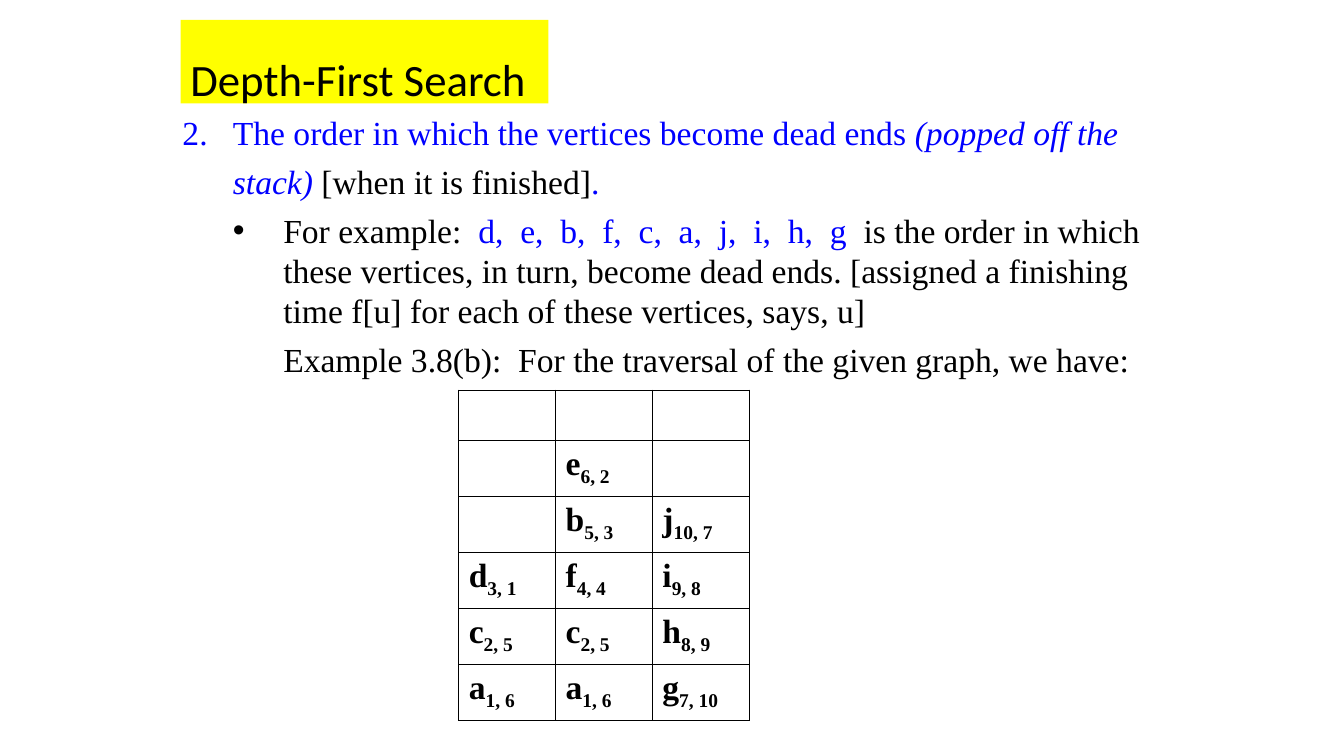
"""Build a slide on the order in which depth-first search finishes vertices."""
from pptx import Presentation
from pptx.dml.color import RGBColor
from pptx.enum.shapes import MSO_SHAPE as Shape
from pptx.enum.text import MSO_ANCHOR as Anchor, PP_ALIGN as Align
from pptx.oxml.xmlchemy import OxmlElement as Element
from pptx.util import Cm, Pt

COLORS = {"black": "000000", "blue": "0000FF", "yellow": "FFFF00", "white": "FFFFFF"}
SERIF = "Times New Roman"


def color(name):
    return RGBColor.from_string(COLORS[name])


def add_child(parent, tag, **attributes):
    child = Element(tag)
    for key, value in attributes.items():
        child.set(key, str(value))
    parent.append(child)
    return child


deck = Presentation()
deck.slide_width, deck.slide_height = Cm(33.87), Cm(19.05)
page = deck.slides.add_slide(deck.slide_layouts[6])

body = page.shapes.add_textbox(Cm(4.35), Cm(2.7), Cm(25.78), Cm(14.5))
body.text_frame.word_wrap = True
body_lines = [
    (1.27, "number", [
        ("The order in which the vertices become dead ends ", "blue", False),
        ("(popped off the", "blue", True)]),
    (1.27, None, [
        ("stack) ", "blue", True),
        ("[when it is finished]", "black", False),
        (".", "blue", False)]),
    (2.54, "bullet", [
        ("For example:  ", "black", False),
        ("d,  e,  b,  f,  c,  a,  j,  i,  h,  g  ", "blue", False),
        ("is the order in which these vertices, in turn, become dead ends. "
         "[assigned a finishing time f[u] for each of these vertices, says, u]",
         "black", False)]),
    (2.54, None, [
        ("Example 3.8(b):  For the traversal of the given graph, we have:",
         "black", False)]),
]
for index, (margin, marker, spans) in enumerate(body_lines):
    para = body.text_frame.paragraphs[0] if index == 0 else body.text_frame.add_paragraph()
    para.space_after = Pt(6)
    properties = para._p.get_or_add_pPr()
    properties.set("marL", str(Cm(margin)))
    properties.set("indent", str(Cm(-1.27 if marker else 0)))
    if marker == "number":
        add_child(properties, "a:buFont", typeface=SERIF)
        add_child(properties, "a:buAutoNum", type="arabicPeriod", startAt=2)
    elif marker == "bullet":
        add_child(properties, "a:buFont", typeface="Arial")
        add_child(properties, "a:buChar", char="•")
    para.font.name, para.font.size = SERIF, Pt(24)
    for text, tint, italic in spans:
        span = para.add_run()
        span.text = text
        span.font.color.rgb = color(tint)
        span.font.italic = italic

stacks = [
    ["", "", ""],
    ["", "e 6, 2", ""],
    ["", "b 5, 3", "j 10, 7"],
    ["d 3, 1", "f 4, 4", "i 9, 8"],
    ["c 2, 5", "c 2, 5", "h 8, 9"],
    ["a 1, 6", "a 1, 6", "g 7, 10"],
]
table = page.shapes.add_table(
    len(stacks), 3, Cm(11.56), Cm(9.83), Cm(7.32), Cm(8.32)).table
table.first_row = table.horz_banding = False
for column in table.columns:
    column.width = Cm(2.44)
for row_index, labels in enumerate(stacks):
    table.rows[row_index].height = Cm(1.41 if row_index else 1.27)
    for column_index, label in enumerate(labels):
        cell = table.cell(row_index, column_index)
        for side in ("a:lnL", "a:lnR", "a:lnT", "a:lnB"):
            line = add_child(cell._tc.get_or_add_tcPr(), side, w=Pt(1))
            add_child(add_child(line, "a:solidFill"), "a:srgbClr", val=COLORS["black"])
        cell.fill.solid()
        cell.fill.fore_color.rgb = color("white")
        para = cell.text_frame.paragraphs[0]
        para.font.name, para.font.size, para.font.bold = SERIF, Pt(24), True
        para.font.color.rgb = color("black")
        if label:
            vertex, numbers = label.split(" ", 1)
            para.add_run().text = vertex
            span = para.add_run()
            span.text = numbers
            span.font._element.set("baseline", "-25000")

title = page.shapes.add_shape(Shape.RECTANGLE, Cm(4.55), Cm(0.5), Cm(9.27), Cm(2.11))
title.shadow.inherit = False
title.fill.solid()
title.fill.fore_color.rgb = color("yellow")
title.line.fill.background()
title.text_frame.vertical_anchor = Anchor.TOP
para = title.text_frame.paragraphs[0]
para.text = "Depth-First Search"
para.alignment = Align.LEFT
para.line_spacing = 1.5
para.font.name, para.font.size = "Calibri", Pt(32)
para.font.color.rgb = color("black")

deck.save("out.pptx")
